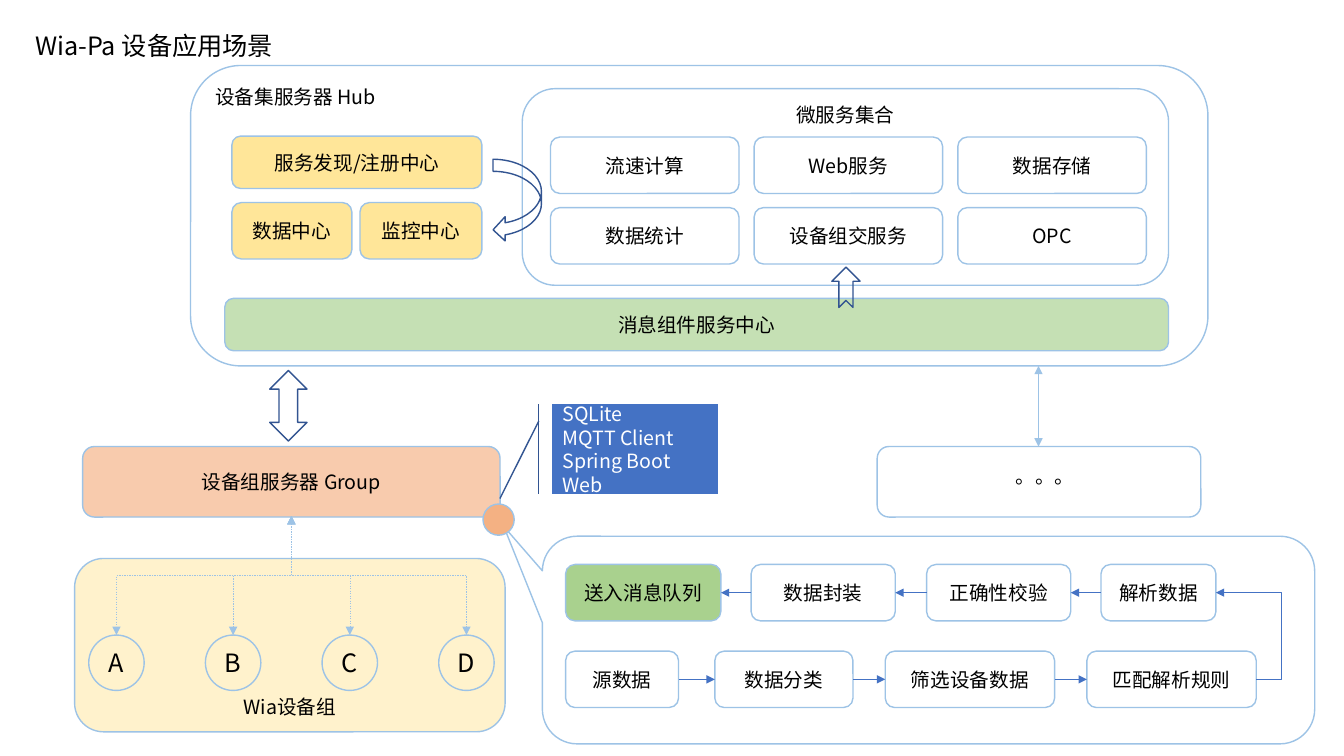
from lxml import etree
from pptx import Presentation
from pptx import util as u
from pptx.dml.color import RGBColor
from pptx.enum import dml, shapes, text
from pptx.oxml import ns

I = u.Inches
BLACK = RGBColor(0x00, 0x00, 0x00)
WHITE = RGBColor(0xFF, 0xFF, 0xFF)
SKY = RGBColor(0x9D, 0xC3, 0xE6)
NAVY = RGBColor(0x32, 0x54, 0x91)
BLUE = RGBColor(0x44, 0x72, 0xC4)
CREAM = RGBColor(0xFF, 0xF2, 0xCC)
YELLOW = RGBColor(0xFF, 0xE6, 0x99)
PEACH = RGBColor(0xF8, 0xCB, 0xAD)
ORANGE = RGBColor(0xF4, 0xB1, 0x83)
PALE_GREEN = RGBColor(0xC5, 0xE0, 0xB4)
GREEN = RGBColor(0xA9, 0xD1, 0x8E)
SC, TC = "Noto Sans CJK SC", "Noto Sans CJK TC"
M = shapes.MSO_SHAPE
ROUND = M.ROUNDED_RECTANGLE
TOP, MIDDLE, BOTTOM = text.MSO_ANCHOR.TOP, text.MSO_ANCHOR.MIDDLE, text.MSO_ANCHOR.BOTTOM
LEFT, CENTER = text.PP_ALIGN.LEFT, text.PP_ALIGN.CENTER
STRAIGHT, ELBOW = shapes.MSO_CONNECTOR.STRAIGHT, shapes.MSO_CONNECTOR.ELBOW

prs = Presentation()
prs.slide_width, prs.slide_height = I(13.33), I(7.5)
s = prs.slides.add_slide(prs.slide_layouts[5])


def add_box(kind, at, label="", fill=None, line=SKY, size=14, font=TC,
            color=BLACK, anchor=MIDDLE, align=CENTER, adj=()):
    if kind is None:
        sp = s.shapes.title
        sp.left, sp.top, sp.width, sp.height = map(I, at)
    else:
        sp = s.shapes.add_shape(kind, *map(I, at))
        sp.shadow.inherit = False
        sp.line.color.rgb = line
        sp.line.width = u.Pt(1)
        if fill is None:
            sp.fill.background()
        else:
            sp.fill.solid()
            sp.fill.fore_color.rgb = fill
    for i, value in enumerate(adj):
        sp.adjustments[i] = value
    if label:
        tf = sp.text_frame
        tf.text = label
        tf.word_wrap = True
        tf.auto_size = text.MSO_AUTO_SIZE.NONE
        tf.vertical_anchor = anchor
        for p in tf.paragraphs:
            p.alignment = align
            for r in p.runs:
                r.font.size, r.font.name = u.Pt(size), font
                r.font.color.rgb = color
                ea = etree.SubElement(r.font._element, ns.qn("a:ea"))
                ea.set("typeface", font)
    return sp


def add_arrow(kind, x1, y1, x2, y2, color, width, both=False):
    c = s.shapes.add_connector(kind, I(x1), I(y1), I(x2), I(y2))
    c.line.color.rgb = color
    c.line.width = u.Pt(width)
    if both:
        c.line.dash_style = dml.MSO_LINE.DASH if kind == ELBOW else dml.MSO_LINE.SOLID
    ln = c.line._get_or_add_ln()
    for end in ("a:headEnd", "a:tailEnd") if both else ("a:tailEnd",):
        etree.SubElement(ln, ns.qn(end)).set("type", "triangle")
    etree.SubElement(c._element.spPr, ns.qn("a:effectLst"))
    return c


add_box(None, (0.25, 0.25, 3.34, 0.4), "Wia-Pa 设备应用场景", size=18, font=SC,
        anchor=TOP, align=LEFT)

add_box(M.ROUNDED_RECTANGULAR_CALLOUT, (5.38, 5.32, 7.66, 2.06), adj=(-0.55, -0.547, 0.167))
add_box(ROUND, (0.74, 5.54, 4.27, 1.72), "Wia设备组", CREAM, anchor=BOTTOM)
add_box(ROUND, (0.82, 4.43, 4.14, 0.7), "设备组服务器 Group", PEACH)

group_x, group_y, device_y, device_d = 2.89, 5.12, 6.3, 0.55
drop = device_y - group_y
mid_y = (group_y + device_y) / 2
for i, name in enumerate("ABCD"):
    x = 1.155 + i * 1.157
    add_box(M.OVAL, (x - device_d / 2, device_y, device_d, device_d), name, size=18, font=SC)
    mid_x, reach = (group_x + x) / 2, abs(x - group_x)
    side = 1 if x > group_x else -1
    c = add_arrow(ELBOW, mid_x + side * drop / 2, mid_y - reach / 2,
                  mid_x - side * drop / 2, mid_y + reach / 2, SKY, 0.25, both=True)
    c._element.spPr.find(ns.qn("a:xfrm")).set("rot", str((180 + side * 90) * 60000))

add_box(ROUND, (1.89, 0.65, 10.09, 2.98), "设备集服务器 Hub", anchor=TOP, align=LEFT)
add_box(M.LINE_CALLOUT_1_ACCENT_BAR, (5.48, 4.01, 1.64, 0.89),
        "SQLite\nMQTT Client\nSpring Boot Web", BLUE, NAVY, font=SC, color=WHITE,
        align=LEFT, adj=(0.188, -0.083, 1.051, -0.318))
add_box(ROUND, (8.7, 4.43, 3.21, 0.7), "。。。")
add_arrow(STRAIGHT, 10.3, 4.43, 10.3, 3.63, SKY, 0.5, both=True)

add_box(ROUND, (5.18, 0.88, 6.41, 1.95), "微服务集合", anchor=TOP)
services = [["流速计算", "Web服务", "数据存储"], ["数据统计", "设备组交服务", "OPC"]]
for row, names in enumerate(services):
    for col, name in enumerate(names):
        add_box(ROUND, (5.46 + col * 2.02, 1.36 + row * 0.7, 1.87, 0.56), name)

add_box(ROUND, (2.23, 2.96, 9.36, 0.52), "消息组件服务中心", PALE_GREEN)
add_box(M.NOTCHED_RIGHT_ARROW, (8.19, 2.71, 0.4, 0.28), line=NAVY).rotation = 270
add_box(M.LEFT_RIGHT_ARROW, (2.51, 3.84, 0.7, 0.37), line=NAVY).rotation = 270
add_box(ROUND, (2.3, 1.35, 2.48, 0.52), "服务发现/注册中心", YELLOW)
add_box(ROUND, (2.3, 2.01, 1.19, 0.56), "数据中心", YELLOW)
add_box(ROUND, (3.57, 2.01, 1.21, 0.56), "监控中心", YELLOW)
add_box(M.CURVED_LEFT_ARROW, (4.89, 1.58, 0.48, 0.82), line=NAVY)

step_h = 0.56
collect = [("源数据", 5.61, 1.12), ("数据分类", 7.09, 1.37),
           ("筛选设备数据", 8.78, 1.68), ("匹配解析规则", 10.78, 1.68)]
deliver = [("解析数据", 10.92, 1.14), ("正确性校验", 9.19, 1.43),
           ("数据封装", 7.45, 1.43), ("送入消息队列", 5.61, 1.54)]
for steps, y in ((collect, 6.46), (deliver, 5.6)):
    for name, x, w in steps:
        add_box(ROUND, (x, y, w, step_h), name, GREEN if name == "送入消息队列" else None)
    for (_, x1, w1), (_, x2, w2) in zip(steps, steps[1:]):
        start, end = (x1 + w1, x2) if x2 > x1 else (x1, x2 + w2)
        add_arrow(STRAIGHT, start, y + step_h / 2, end, y + step_h / 2, BLUE, 0.5)

turn = add_arrow(ELBOW, 12.46, 6.74, 12.06, 5.88, BLUE, 0.5)
geom = turn._element.spPr.find(ns.qn("a:prstGeom"))
gd = etree.SubElement(geom.find(ns.qn("a:avLst")), ns.qn("a:gd"))
gd.set("name", "adj1")
gd.set("fmla", "val -62200")

add_box(M.OVAL, (4.79, 5, 0.31, 0.31), fill=ORANGE)

prs.save("out.pptx")
